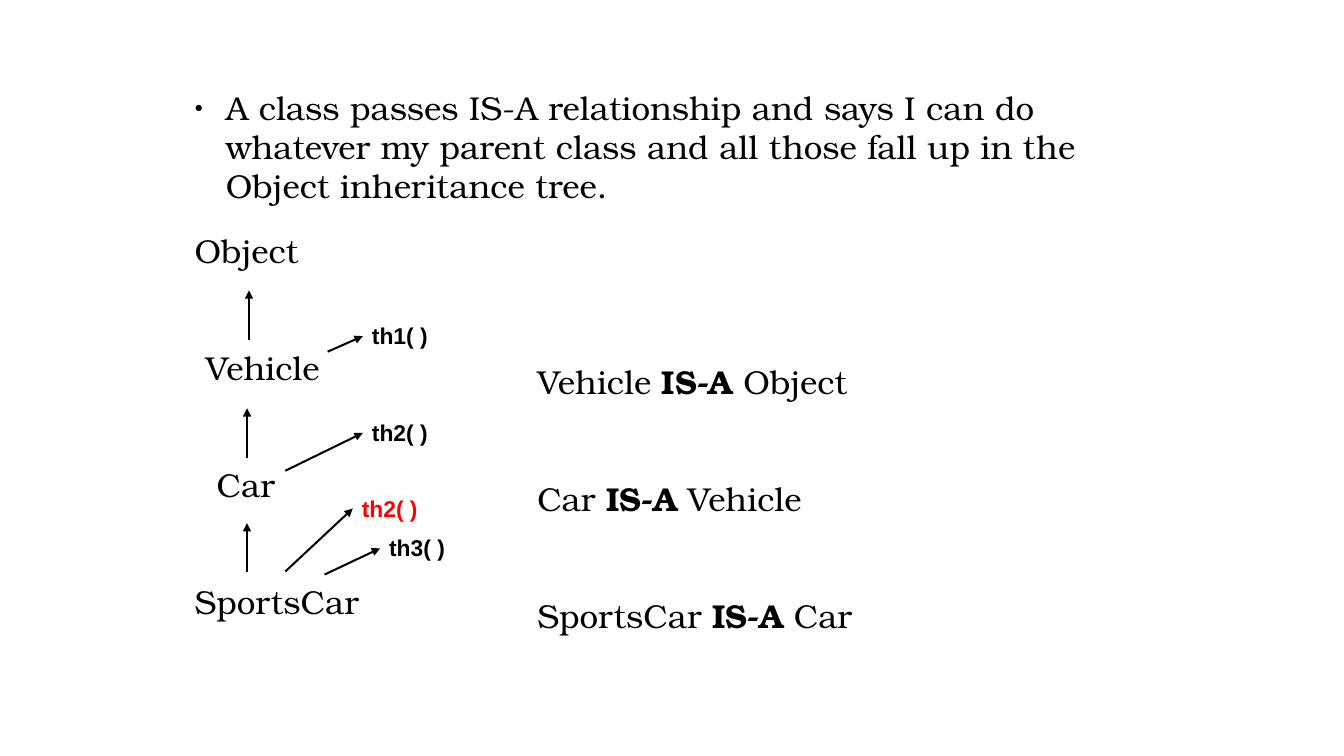
from lxml.etree import SubElement
from pptx import Presentation
from pptx.dml.color import RGBColor
from pptx.enum.shapes import MSO_CONNECTOR
from pptx.enum.text import MSO_ANCHOR
from pptx.oxml.ns import qn
from pptx.util import Inches, Pt

BLACK, RED = "000000", "FF0000"
SERIF, SANS = "TeX Gyre Bonum", "Arial"
LEVEL_GAP = 55.7  # points between two levels of the class tree


def color(hex_string):
    return RGBColor.from_string(hex_string)


def write(paragraph, text, font=SERIF, size=23.6, bold=False, fill=BLACK,
          line_spacing=0.98, space_before=0):
    """Add a formatted run to a paragraph."""
    paragraph.line_spacing = line_spacing
    paragraph.space_before = Pt(space_before)
    run = paragraph.add_run()
    run.text = text
    run.font.name = font
    run.font.size = Pt(size)
    run.font.bold = bold
    run.font.color.rgb = color(fill)


def indent(paragraph, left, first=0):
    properties = paragraph._p.get_or_add_pPr()
    properties.set("marL", str(Inches(left)))
    properties.set("indent", str(Inches(first)))
    return properties


def add_bullet(paragraph):
    properties = indent(paragraph, 0.31, -0.31)
    bullet_color = SubElement(properties, qn("a:buClr"))
    SubElement(bullet_color, qn("a:srgbClr"), val=BLACK)
    SubElement(properties, qn("a:buSzPct"), val="32000")
    SubElement(properties, qn("a:buChar"), char="●")


class Board:
    """Current slide; lengths are percentages of its width and height."""

    def __init__(self, presentation):
        self.width = presentation.slide_width
        self.height = presentation.slide_height
        self.slide = presentation.slides.add_slide(presentation.slide_layouts[6])

    def x(self, share):
        return round(self.width * share / 100)

    def y(self, share):
        return round(self.height * share / 100)

    def text_box(self, left, top, width, height, wrap=True,
                 anchor=MSO_ANCHOR.TOP, inset=0.05):
        box = self.slide.shapes.add_textbox(
            self.x(left), self.y(top), self.x(width), self.y(height))
        frame = box.text_frame
        frame.word_wrap = wrap
        frame.vertical_anchor = anchor
        frame.margin_left = Inches(0.09)
        frame.margin_right = Inches(0.09 if wrap else 0)
        frame.margin_top, frame.margin_bottom = Inches(inset), Inches(0.04)
        return box

    def arrow(self, start, end):
        connector = self.slide.shapes.add_connector(
            MSO_CONNECTOR.STRAIGHT, self.x(start[0]), self.y(start[1]),
            self.x(end[0]), self.y(end[1]))
        connector.line.color.rgb = color(BLACK)
        connector.line.width = Pt(1.45)
        SubElement(connector.line._get_or_add_ln(), qn("a:tailEnd"), type="triangle")
        SubElement(connector._element.spPr, qn("a:effectLst"))
        return connector

    def method(self, name, left, top, start, fill=BLACK):
        """A method label with an arrow from its class."""
        height = 4.67
        label = self.text_box(left, top, 5.6, height, wrap=True,
                              anchor=MSO_ANCHOR.MIDDLE, inset=0.06)
        label.text_frame.margin_right = 0
        write(label.text_frame.paragraphs[0], name, font=SANS, size=16.3,
              bold=True, fill=fill, line_spacing=0.93)
        self.arrow(start, (left, top + height / 2)).end_connect(label, 1)


def main():
    presentation = Presentation()
    presentation.slide_width = Inches(13.33)
    presentation.slide_height = Inches(7.5)
    board = Board(presentation)

    # Statement and class tree
    body = board.text_box(13.8, 11.2, 72.3, 74.8).text_frame
    statement = body.paragraphs[0]
    write(statement, "A class passes IS-A relationship and says I can do whatever "
                     "my parent class and all those fall up in the Object "
                     "inheritance tree.")
    add_bullet(statement)
    for name, left, gap in [("Object", 0, 18.6), ("Vehicle", 0.11, LEVEL_GAP),
                            ("Car", 0.22, LEVEL_GAP), ("SportsCar", 0, LEVEL_GAP)]:
        paragraph = body.add_paragraph()
        write(paragraph, name, space_before=gap)
        indent(paragraph, left)

    # Inheritance arrows
    for x, bottom in [(18.53, 44.93), (18.38, 60.53), (18.38, 75.73)]:
        board.arrow((x, bottom), (x, bottom - 6.53))

    # IS-A relations
    relations = board.text_box(39.3, 47.43, 26, 36.67).text_frame
    pairs = [("Vehicle", "Object"), ("Car", "Vehicle"), ("SportsCar", "Car")]
    for index, (child, parent) in enumerate(pairs):
        paragraph = relations.add_paragraph() if index else relations.paragraphs[0]
        gap = LEVEL_GAP if index else 0
        for text, bold in [(f"{child} ", False), ("IS-A", True), (f" {parent}", False)]:
            write(paragraph, text, bold=bold, space_before=gap)

    # Methods of each class
    board.method("th1( )", 27, 42.13, (24.38, 46.53))
    board.method("th2( )", 27, 54.93, (21.23, 62.27))
    board.method("th3( )", 28.28, 70.2, (24.15, 76))
    board.method("th2( )", 26.25, 64.93, (21.23, 75.6), fill=RED)

    presentation.save("out.pptx")


if __name__ == "__main__":
    main()
